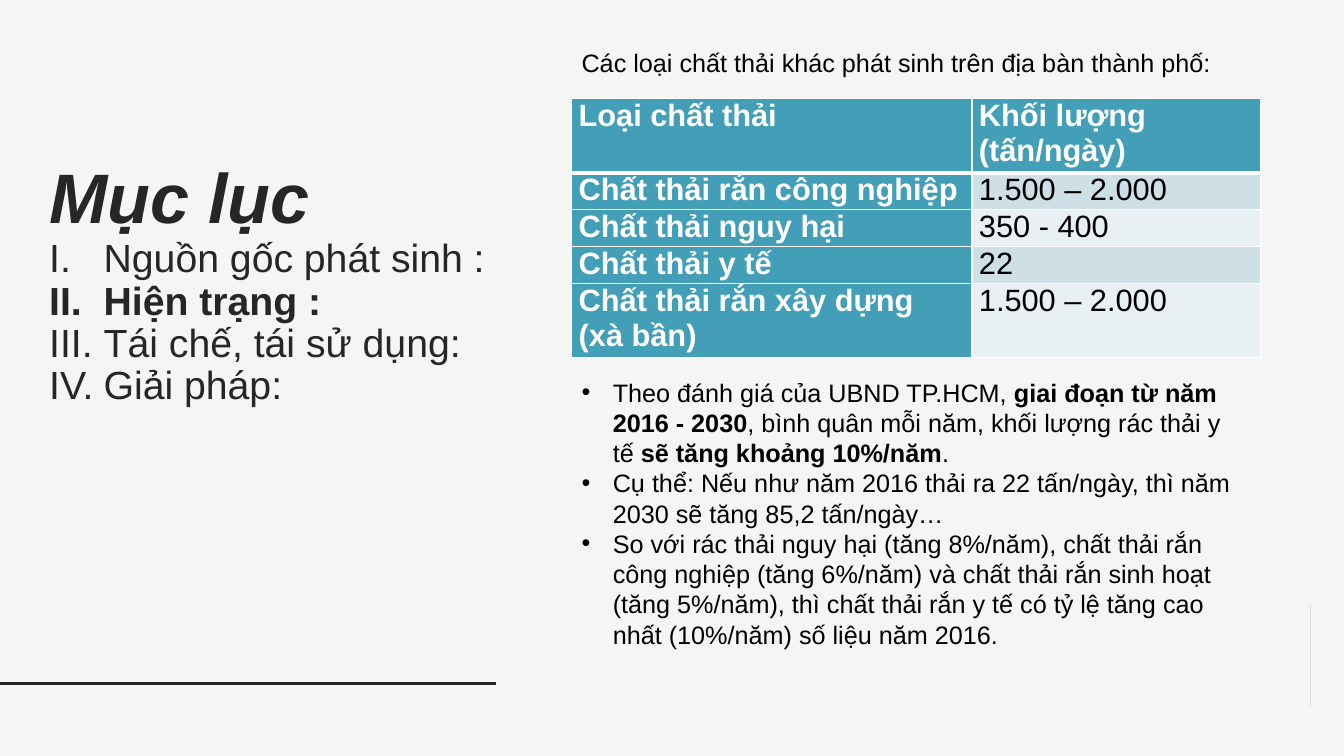
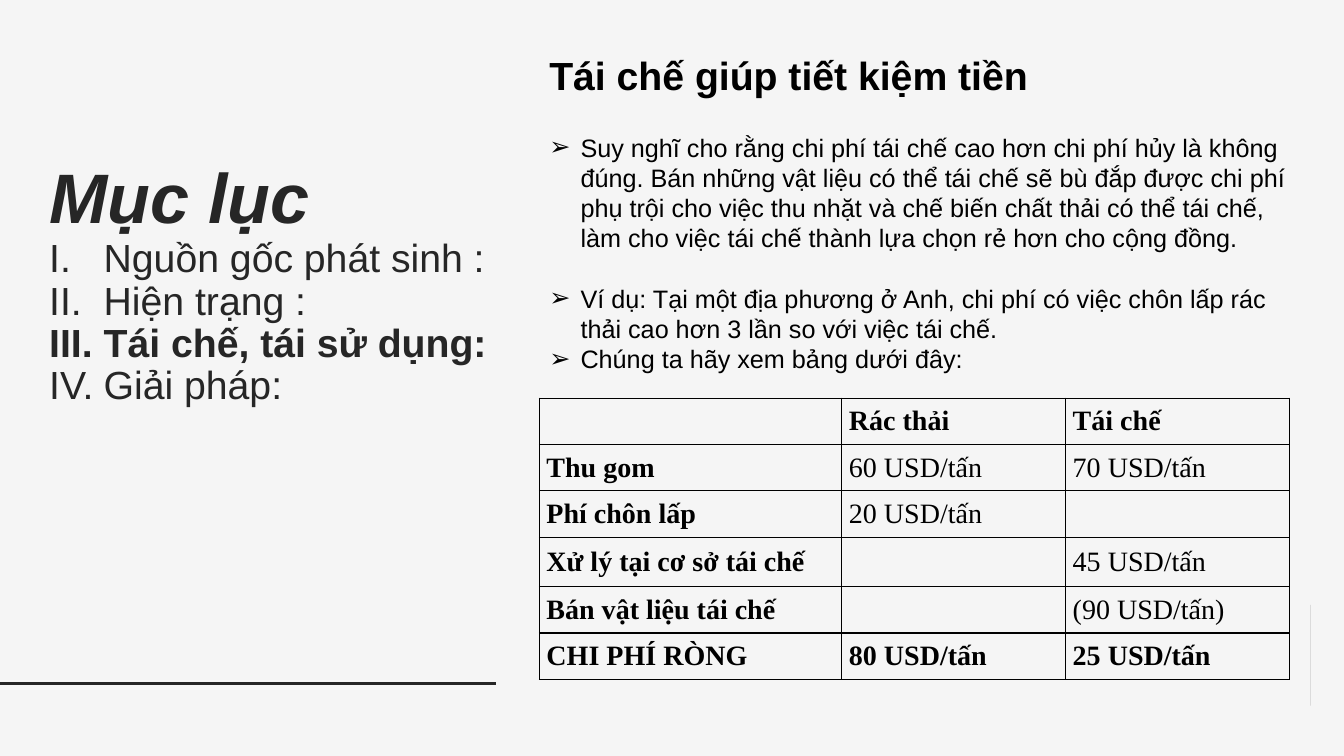
"""Build two slides on city waste volumes and recycling costs, sharing one contents panel."""
from math import cos, pi, sin

from lxml.etree import SubElement
from pptx import Presentation
from pptx.dml.color import RGBColor
from pptx.enum.shapes import MSO_CONNECTOR
from pptx.enum.text import MSO_ANCHOR
from pptx.oxml.ns import qn
from pptx.util import Inches, Pt

PAPER, INK, BLACK, WHITE = "F5F5F5", "262626", "000000", "FFFFFF"
TEAL, BANDS = "439EB7", ("CFDFE6", "E9F0F3")
SECTIONS = [("I.", "Nguồn gốc phát sinh :"), ("II.", "Hiện trạng :"),
            ("III.", "Tái chế, tái sử dụng:"), ("IV.", "Giải pháp:")]


def write(paragraph, text, size=18, color=BLACK, font="Arial", italic=False, indent=0, bullet=None):
    """Add text as runs, with the parts between double asterisks in bold."""
    if indent:
        properties = paragraph._p.get_or_add_pPr()
        properties.set("marL", str(Inches(indent)))
        properties.set("indent", str(-Inches(indent)))
        if bullet:
            SubElement(properties, qn("a:buFont")).set("typeface", font)
            SubElement(properties, qn("a:buChar")).set("char", bullet)
    for index, part in enumerate(text.split("**")):
        if part:
            run = paragraph.add_run()
            run.text = part
            run.font.size = Pt(size)
            run.font.name = font
            run.font.bold = index % 2 == 1
            run.font.italic = italic
            run.font.color.rgb = RGBColor.from_string(color)


def add_grid(slide, left, top, widths, heights, rows, size, font, line, margin, header_rule=1, filled=False):
    """Add a table with ruled cells and bold headings in its first row and column."""
    table = slide.shapes.add_table(len(rows), len(widths), Inches(left), Inches(top),
                                   Inches(sum(widths)), Inches(sum(heights))).table
    table.first_row = table.horz_banding = False
    for column, width in zip(table.columns, widths):
        column.width = Inches(width)
    for r, (row, height) in enumerate(zip(rows, heights)):
        table.rows[r].height = Inches(height)
        for c, text in enumerate(row):
            cell = table.cell(r, c)
            cell.margin_left = cell.margin_right = Inches(0.07)
            cell.margin_top = cell.margin_bottom = Inches(margin)
            cell.vertical_anchor = MSO_ANCHOR.TOP if filled else MSO_ANCHOR.MIDDLE
            for side in ("lnL", "lnR", "lnT", "lnB"):
                on_header = (r, side) in ((0, "lnB"), (1, "lnT"))
                border = SubElement(cell._tc.get_or_add_tcPr(), qn(f"a:{side}"),
                                    w=str(Pt(header_rule if on_header else 1)))
                SubElement(SubElement(border, qn("a:solidFill")), qn("a:srgbClr")).set("val", line)
            heading = r == 0 or c == 0
            if filled:
                cell.fill.solid()
                cell.fill.fore_color.rgb = RGBColor.from_string(TEAL if heading else BANDS[(r - 1) % 2])
            else:
                cell.fill.background()
            for p, words in enumerate(text.split("\n")):
                paragraph = cell.text_frame.add_paragraph() if p else cell.text_frame.paragraphs[0]
                write(paragraph, f"**{words}**" if heading and words else words, size,
                      WHITE if filled and heading else BLACK, font)


prs = Presentation()
prs.slide_width, prs.slide_height = Inches(13.33), Inches(7.5)
slides = []

for current in ("II.", "III."):
    slide = prs.slides.add_slide(prs.slide_layouts[6])
    slides.append(slide)
    slide.background.fill.solid()
    slide.background.fill.fore_color.rgb = RGBColor.from_string(PAPER)

    arc = [(13.33 - 0.45 * sin(pi * step / 48), 6.33 - 0.45 * cos(pi * step / 48)) for step in range(49)]
    builder = slide.shapes.build_freeform(*arc[0], scale=Inches(1))
    builder.add_line_segments(arc[1:], close=True)
    half_disc = builder.convert_to_shape()
    half_disc.shadow.inherit = False
    half_disc.fill.solid()
    half_disc.fill.fore_color.rgb = RGBColor.from_string(INK)
    half_disc.line.fill.background()

    rule = slide.shapes.add_connector(MSO_CONNECTOR.STRAIGHT, 0, Inches(6.78), Inches(4.92), Inches(6.78))
    rule.line.color.rgb = RGBColor.from_string(INK)
    rule.line.width = Pt(2)
    SubElement(rule._element.spPr, qn("a:effectLst"))

    contents = slide.shapes.add_textbox(Inches(0.39), Inches(1.57), Inches(4.96), Inches(4.45)).text_frame
    contents.word_wrap = True
    write(contents.paragraphs[0], "**Mục lục**", 50, INK, italic=True)
    for numeral, section in SECTIONS:
        entry = f"{numeral}\t{section}"
        write(contents.add_paragraph(), f"**{entry}**" if numeral == current else entry, 28, INK, indent=0.54)
    for paragraph in contents.paragraphs:
        paragraph.line_spacing = 0.9

waste, savings = slides

add_grid(waste, 5.67, 0.98, (3.97, 2.86), (0.67, 0.34, 0.34, 0.34, 0.69), [
    ("Loại chất thải", "Khối lượng (tấn/ngày)"),
    ("Chất thải rắn công nghiệp", "1.500 – 2.000"),
    ("Chất thải nguy hại", "350 - 400"),
    ("Chất thải y tế", "22"),
    ("Chất thải rắn xây dựng\n(xà bần)", "1.500 – 2.000"),
], 22, "Arial", WHITE, 0, header_rule=3, filled=True)

add_grid(savings, 5.35, 3.95, (3, 2.22, 2.22), (0.46, 0.46, 0.46, 0.49, 0.46, 0.46), [
    ("", "Rác thải", "Tái chế"),
    ("Thu gom", "60 USD/tấn", "70 USD/tấn"),
    ("Phí chôn lấp", "20 USD/tấn", ""),
    ("Xử lý tại cơ sở tái chế", "", "45 USD/tấn"),
    ("Bán vật liệu tái chế", "", "(90 USD/tấn)"),
    ("CHI PHÍ RÒNG", "**80 USD/tấn**", "**25 USD/tấn**"),
], 20, "Times New Roman", BLACK, 0.06)

dot, arrow = {"indent": 0.31, "bullet": "•"}, {"indent": 0.31, "bullet": "➢"}
passages = [
    (waste, (5.67, 0.42, 6.83, 0.4), [
        ("Các loại chất thải khác phát sinh trên địa bàn thành phố:", 0, {}),
    ]),
    (waste, (5.67, 3.69, 6.67, 2.83), [
        ("Theo đánh giá của UBND TP.HCM, **giai đoạn từ năm 2016 - 2030**, bình quân mỗi năm, "
         "khối lượng rác thải y tế **sẽ tăng khoảng 10%/năm**.", 0, dot),
        ("Cụ thể: Nếu như năm 2016 thải ra 22 tấn/ngày, thì năm 2030 sẽ tăng 85,2 tấn/ngày…", 0, dot),
        ("So với rác thải nguy hại (tăng 8%/năm), chất thải rắn công nghiệp (tăng 6%/năm) và chất thải "
         "rắn sinh hoạt (tăng 5%/năm), thì chất thải rắn y tế có tỷ lệ tăng cao nhất (10%/năm) "
         "số liệu năm 2016.", 0, dot),
    ]),
    (savings, (5.35, 0.46, 7.67, 3.34), [
        ("**Tái chế giúp tiết kiệm tiền**", 0, {"size": 28}),
        ("Suy nghĩ cho rằng chi phí tái chế cao hơn chi phí hủy là không đúng. Bán những vật liệu có thể "
         "tái chế sẽ bù đắp được chi phí phụ trội cho việc thu nhặt và chế biến chất thải có thể tái chế, "
         "làm cho việc tái chế thành lựa chọn rẻ hơn cho cộng đồng.", 24, arrow),
        ("Ví dụ: Tại một địa phương ở Anh, chi phí có việc chôn lấp rác thải cao hơn 3 lần "
         "so với việc tái chế.", 21.5, arrow),
        ("Chúng ta hãy xem bảng dưới đây:", 0, arrow),
    ]),
]
for slide, box, paragraphs in passages:
    passage = slide.shapes.add_textbox(*[Inches(length) for length in box]).text_frame
    passage.word_wrap = True
    for index, (text, gap, style) in enumerate(paragraphs):
        paragraph = passage.add_paragraph() if index else passage.paragraphs[0]
        if gap:
            paragraph.space_before = Pt(gap)
        write(paragraph, text, **style)

prs.save("out.pptx")
